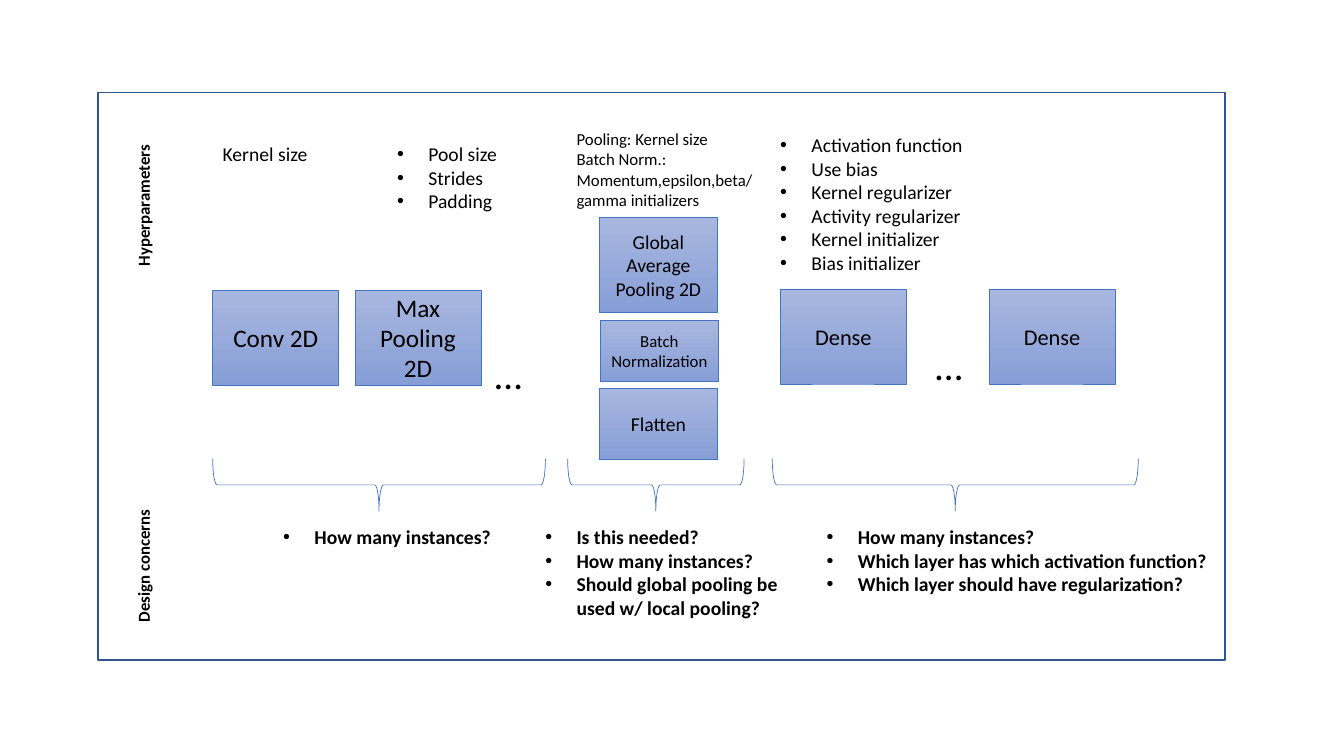
from pptx import Presentation
from pptx.dml.color import RGBColor
from pptx.enum.shapes import MSO_SHAPE
from pptx.enum.text import MSO_ANCHOR, MSO_AUTO_SIZE, PP_ALIGN
from pptx.oxml.ns import qn
from pptx.util import Inches, Pt
from lxml import etree

FONT = "Calibri"
BLACK, WHITE, FRAME_LINE, BLUE = "000000", "FFFFFF", "325491", "4472C4"
LAYER_TOP, LAYER_BOTTOM = "A8B7DF", "889ED7"
INDENT = 0.31

# Layers: text, size, (left, top, width, height)
LAYERS = [
    ("Conv 2D", 18, (2.11, 2.88, 1.25, 0.94)),
    ("Max Pooling 2D", 18, (3.52, 2.88, 1.25, 0.94)),
    ("Global Average Pooling 2D", 14, (5.94, 2.16, 1.18, 0.94)),
    ("Batch Normalization", 12, (5.95, 3.18, 1.18, 0.6)),
    ("Flatten", 14, (5.94, 3.85, 1.18, 0.71)),
    ("Dense", 16, (7.74, 2.87, 1.25, 0.94)),
    ("Dense", 16, (9.81, 2.87, 1.25, 0.94)),
]

# Braces under the layer groups: left, right
BRACES = [(2.11, 5.41), (5.63, 7.38), (7.66, 11.29)]
BRACE_TOP, BRACE_DEPTH = 4.55, 0.52

ELLIPSES = [(4.81, 3.43, 0.47, 0.57), (9.18, 3.34, 0.47, 0.57)]

# Texts: lines, place, format
HYPERPARAMETERS = [
    (["Kernel size"], (2.11, 1.36, 1.05, 0.34), {}),
    (["Pool size", "Strides", "Padding"], (3.84, 1.36, 1.21, 0.81),
     {"bullets": True}),
    (["Pooling: Kernel size",
      "Batch Norm.: Momentum,epsilon,beta/gamma initializers"],
     (5.62, 1.23, 1.98, 0.91), {"size": 12, "wrap": True}),
    (["Activation function", "Use bias", "Kernel regularizer",
      "Activity regularizer", "Kernel initializer", "Bias initializer"],
     (7.64, 1.27, 3.11, 1.51), {"bullets": True, "wrap": True}),
]
CONCERNS = [
    (["How many instances?"], (2.71, 5.16, 2.28, 0.34), {}),
    (["Is this needed?", "How many instances?",
      "Should global pooling be used w/ local pooling?"],
     (5.31, 5.16, 2.79, 1.04), {"wrap": True}),
    (["How many instances?", "Which layer has which activation function?",
      "Which layer should have regularization?"],
     (8.1, 5.16, 4.01, 0.81), {}),
]
ROW_TITLES = [
    ("Hyperparameters", (0.71, 1.88, 1.42, 0.3)),
    ("Design concerns", (0.75, 5.45, 1.34, 0.3)),
]


def color(value):
    """Turn a hex string into a colour."""
    return RGBColor.from_string(value)


def add_bullet(para):
    """Give a paragraph a round bullet with a hanging indent."""
    properties = para._p.get_or_add_pPr()
    properties.set("marL", str(Inches(INDENT)))
    properties.set("indent", str(-Inches(INDENT)))
    etree.SubElement(properties, qn("a:buFont")).set("typeface", "Arial")
    etree.SubElement(properties, qn("a:buChar")).set("char", "•")


def write(frame, lines, size=14, bold=False, align=PP_ALIGN.LEFT, bullets=False):
    """Write lines as paragraphs of one format into a text frame."""
    for index, line in enumerate(lines):
        para = frame.add_paragraph() if index else frame.paragraphs[0]
        para.alignment = align
        if bullets:
            add_bullet(para)
        span = para.add_run()
        span.text = line
        span.font.name = FONT
        span.font.size = Pt(size)
        span.font.bold = bold
        span.font.color.rgb = color(BLACK)


def add_text(page, lines, place, wrap=False, rotation=0, **style):
    """Add a text box that fits its text."""
    box = page.shapes.add_textbox(*map(Inches, place))
    box.rotation = rotation
    box.text_frame.word_wrap = wrap
    box.text_frame.auto_size = MSO_AUTO_SIZE.SHAPE_TO_FIT_TEXT
    write(box.text_frame, lines, **style)


def add_outline(page, kind, place, line, width):
    """Add an unfilled preset shape with a plain line."""
    shape = page.shapes.add_shape(kind, *map(Inches, place))
    shape.shadow.inherit = False
    shape.fill.background()
    shape.line.color.rgb = color(line)
    shape.line.width = Pt(width)
    return shape


def add_layer(page, text, size, place):
    """Add a network layer as a box with a vertical gradient."""
    box = add_outline(page, MSO_SHAPE.RECTANGLE, place, BLUE, 0.5)
    box.fill.gradient()
    box.fill.gradient_angle = 270
    for stop, position, value in zip(box.fill.gradient_stops, (0, 1),
                                     (LAYER_TOP, LAYER_BOTTOM)):
        stop.position = position
        stop.color.rgb = color(value)
    box.text_frame.word_wrap = True
    box.text_frame.vertical_anchor = MSO_ANCHOR.MIDDLE
    write(box.text_frame, [text], size=size, align=PP_ALIGN.CENTER)


def add_brace(page, left, right):
    """Add a brace that points down, from left to right."""
    span = right - left
    place = ((left + right - BRACE_DEPTH) / 2,
             BRACE_TOP + (BRACE_DEPTH - span) / 2, BRACE_DEPTH, span)
    add_outline(page, MSO_SHAPE.LEFT_BRACE, place, BLUE, 0.5).rotation = 270


deck = Presentation()
deck.slide_width, deck.slide_height = Inches(13.33), Inches(7.5)
page = deck.slides.add_slide(deck.slide_layouts[6])

frame = add_outline(page, MSO_SHAPE.RECTANGLE, (0.97, 0.92, 11.18, 5.63),
                    FRAME_LINE, 1)
frame.fill.solid()
frame.fill.fore_color.rgb = color(WHITE)

for text, size, place in LAYERS:
    add_layer(page, text, size, place)
for left, right in BRACES:
    add_brace(page, left, right)
for place in ELLIPSES:
    add_text(page, ["…"], place, size=28)
for lines, place, style in HYPERPARAMETERS:
    add_text(page, lines, place, **style)
for lines, place, style in CONCERNS:
    add_text(page, lines, place, bold=True, bullets=True, **style)
for title, place in ROW_TITLES:
    add_text(page, [title], place, rotation=270, size=12, bold=True)

deck.save("out.pptx")
